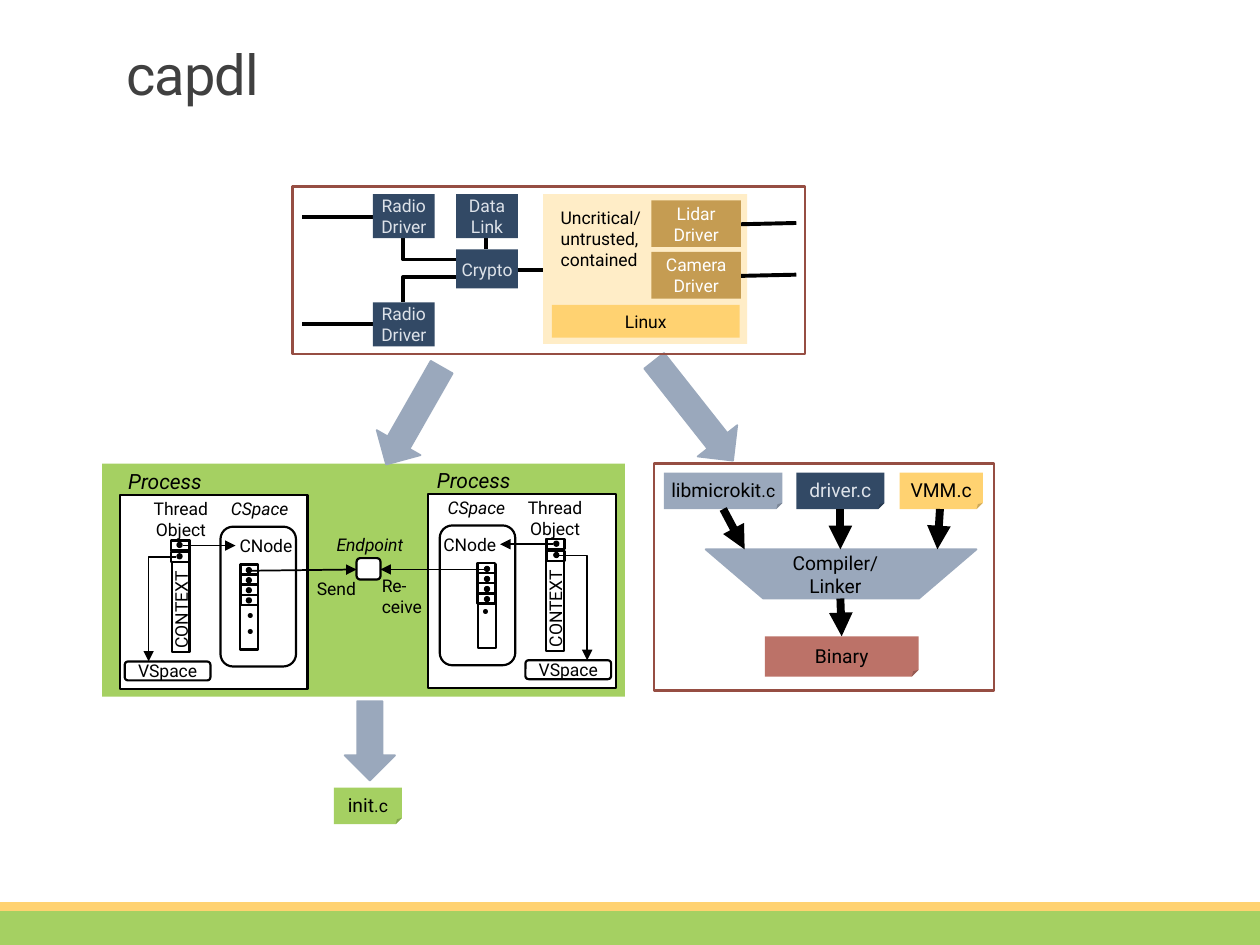
from pptx import Presentation
from pptx import util as u
from pptx.dml.color import RGBColor
from pptx.enum import shapes, text
from pptx.oxml.ns import qn
from lxml import etree

FONT = "Roboto"
BLACK = RGBColor(0x00, 0x00, 0x00)
WHITE = RGBColor(0xFF, 0xFF, 0xFF)
GREY = RGBColor(0x40, 0x40, 0x40)
GREEN = RGBColor(0xA5, 0xD0, 0x62)
GOLD = RGBColor(0xFF, 0xD2, 0x71)
CREAM = RGBColor(0xFF, 0xED, 0xC7)
TAN = RGBColor(0xC5, 0x9C, 0x52)
NAVY = RGBColor(0x32, 0x49, 0x65)
PALE = RGBColor(0xDD, 0xE2, 0xE9)
STEEL = RGBColor(0x9A, 0xA8, 0xBC)
BRICK = RGBColor(0x96, 0x4E, 0x43)
ROSE = RGBColor(0xBC, 0x72, 0x68)

KIND = shapes.MSO_SHAPE
MID = text.MSO_ANCHOR.MIDDLE
TOP = text.MSO_ANCHOR.TOP
LEFT, RIGHT, CENTER = text.PP_ALIGN.LEFT, text.PP_ALIGN.RIGHT, text.PP_ALIGN.CENTER
SNUG = (0.06, 0.04, 0.06, 0.04)
TIGHT = (0.04, 0.02, 0.04, 0.02)
FILE = (0, 0.04, 0, 0)


def style(obj, vals):
    """Set each attribute of obj from a dict."""
    for key, val in vals.items():
        setattr(obj, key, val)


def write(shape, words, size=10, color=BLACK, italic=False, align=CENTER,
          anchor=MID, pad=(0.1, 0.05, 0.1, 0.05), wrap=True, tail=None):
    """Fill a shape with words, and a smaller tail if one is given."""
    frame = shape.text_frame
    sides = ("margin_left", "margin_top", "margin_right", "margin_bottom")
    style(frame, dict(zip(sides, map(u.Inches, pad))))
    style(frame, {"text": words, "vertical_anchor": anchor, "word_wrap": wrap})
    look = {"name": FONT, "size": u.Pt(size), "italic": italic}
    if tail:
        frame.paragraphs[-1].add_run().text = tail
    for para in frame.paragraphs:
        para.alignment = align
        for run in para.runs:
            style(run.font, look)
            run.font.color.rgb = color
    if tail:
        frame.paragraphs[-1].runs[-1].font.size = u.Pt(10)


def place(box, rect):
    """Turn a rect inside a box into slide lengths."""
    x, y, w, h = rect
    return [u.Inches(v) for v in (box[0] + x, box[1] + y, w, h)]


def draw(slide, box, rect, kind=KIND.RECTANGLE, fill=None, line=None,
         width=1.25, turn=0, words=None, **fmt):
    """Add a preset shape at a rect inside a box."""
    shape = slide.shapes.add_shape(kind, *place(box, rect))
    style(shape, {"rotation": turn})
    shape.shadow.inherit = False
    for part, color in ((shape.fill, fill), (shape.line.fill, line)):
        if color is None:
            part.background()
        else:
            part.solid()
            part.fore_color.rgb = color
    if line is not None:
        shape.line.width = u.Pt(width)
    if words:
        write(shape, words, **fmt)
    return shape


def label(slide, box, rect, words, pad=SNUG, **fmt):
    """Add a text box at a rect inside a box."""
    write(slide.shapes.add_textbox(*place(box, rect)), words, pad=pad, **fmt)


def link(slide, box, start, end, width=1, head=False, bent=False):
    """Join two points inside a box; a bent link runs level first."""
    ends = [u.Inches(box[i] + p[i]) for p in (start, end) for i in (0, 1)]
    kinds = shapes.MSO_CONNECTOR
    wire = slide.shapes.add_connector(kinds.ELBOW if bent else kinds.STRAIGHT, *ends)
    style(wire.line, {"width": u.Pt(width)})
    wire.line.color.rgb = BLACK
    props = wire._element.spPr
    if bent:
        props.find(qn("a:prstGeom")).set("prst", "bentConnector2")
    if head:
        etree.SubElement(props.find(qn("a:ln")), qn("a:tailEnd"), type="triangle")
    etree.SubElement(props, qn("a:effectLst"))


def heading(slide, box, words):
    """Place and format the title."""
    title = slide.shapes.title
    style(title, dict(zip(("left", "top", "width", "height"), map(u.Inches, box))))
    write(title, words, size=32, color=GREY, align=LEFT)
    para = title.text_frame.paragraphs[0]
    para.line_spacing = 0.85
    para.runs[0]._r.get_or_add_rPr().set("spc", "-50")


def footer(slide, box):
    """Draw the two bands at the foot of the slide."""
    draw(slide, box, (0, 0.05, box[2], 0.29), fill=GREEN)
    draw(slide, box, (0, 0, box[2], 0.07), fill=GOLD)


def system(slide, box):
    """Draw the component diagram."""
    draw(slide, box, (0, 0, *box[2:]), line=BRICK, width=1.5)
    for start, end, bent in (((1.99, 0.66), (1.78, 0.66), False),
                             ((1.54, 0.41), (1.54, 0.5), False),
                             ((0.64, 0.24), (0.08, 0.24), False),
                             ((0.64, 1.09), (0.08, 1.09), False),
                             ((1.31, 0.72), (0.88, 0.92), True),
                             ((1.31, 0.58), (0.88, 0.41), True)):
        link(slide, box, start, end, 2.25, bent=bent)
    for x, y, h, words in ((1.3, 0.06, 0.35, "Data\nLink"),
                           (0.64, 0.06, 0.35, "Radio\nDriver"),
                           (1.3, 0.5, 0.31, "Crypto"),
                           (0.64, 0.92, 0.35, "Radio\nDriver")):
        draw(slide, box, (x, y, 0.49, h), fill=NAVY, words=words, color=PALE, pad=TIGHT)
    draw(slide, box, (1.99, 0.06, 1.62, 1.19), fill=CREAM,
         words="Uncritical/\nuntrusted,\vcontained", align=LEFT, anchor=TOP,
         pad=(0.14, 0.1, 0.14, 0.09), wrap=False)
    for y, words in ((0.11, "Lidar\nDriver"), (0.52, "Camera\nDriver")):
        link(slide, box, (4, y + 0.18), (3.55, y + 0.19), 2.25)
        draw(slide, box, (2.85, y, 0.71, 0.37), fill=TAN, words=words, color=WHITE)
    draw(slide, box, (2.06, 0.94, 1.49, 0.26), fill=GOLD, words="Linux")


def process(slide, box, flip):
    """Draw one process, mirrored if flip is set."""
    def side(rect):
        """Mirror a rect across the box."""
        x, y, w, h = rect
        return (box[2] - x - w if flip else x, y, w, h)

    def spot(x, y):
        """Mirror a point across the box."""
        return (box[2] - x if flip else x, y)

    frame = {"fill": WHITE, "line": BLACK}
    bar = {**frame, "align": LEFT}
    draw(slide, box, (0, 0, *box[2:]), **frame)
    draw(slide, box, side((0.04, 0.73, 0.89, 0.14)), turn=270, words="CONTEXT",
         pad=(0.03, 0.05, 0.1, 0.05), **bar)
    draw(slide, box, side((0.8, 0.25, 0.6, 1.11)), KIND.ROUNDED_RECTANGLE,
         words="CNode", align=LEFT if flip else RIGHT, anchor=TOP,
         pad=(0, 0.04, 0, 0.05), **frame)
    draw(slide, box, side((0.69, 0.82, 0.67, 0.14)), turn=90 if flip else 270,
         words="∙ ∙ ∙", pad=(0.1, 0.05, 0.1, 0.05), **bar)
    for x, y, step, count in ((0.41, 0.36, 0.09, 2), (0.96, 0.55, 0.08, 4)):
        for i in range(count):
            draw(slide, box, side((x, y + i * step, 0.14, 0.08)), **frame)
    draw(slide, box, side((0.04, 1.32, 0.68, 0.15)), KIND.ROUNDED_RECTANGLE,
         words="VSpace", pad=(0.06, 0.05, 0.06, 0.05), **frame)
    link(slide, box, spot(0.45, 0.49), spot(0.23, 1.32), head=True, bent=True)
    link(slide, box, spot(0.5, 0.4), spot(0.92, 0.4), head=True)
    label(slide, box, side((0.19, 0, 0.59, 0.38)), "Thread\nObject")
    label(slide, box, side((0.8, 0.01, 0.62, 0.19)), "CSpace", italic=True)
    label(slide, box, (-0.01, -0.22, 0.74, 0.22), "Process", size=12, italic=True)
    for x, y, step, count in ((0.45, 0.37, 0.09, 2), (1, 0.57, 0.08, 4)):
        for i in range(count):
            draw(slide, box, side((x, y + i * step, 0.05, 0.05)), KIND.OVAL, fill=BLACK)


def memory(slide, box):
    """Draw the two processes and the endpoint between them."""
    draw(slide, box, (0, 0, *box[2:]), fill=GREEN)
    draw(slide, box, (2.02, 0.75, 0.19, 0.17), KIND.ROUNDED_RECTANGLE,
         fill=WHITE, line=BLACK)
    label(slide, box, (1.78, 0.53, 0.69, 0.22), "Endpoint", italic=True)
    label(slide, box, (1.63, 0.89, 0.46, 0.2), "Send")
    label(slide, box, (2.16, 0.86, 0.45, 0.38), "Re-ceive", align=LEFT)
    for x, y, flip in ((0.14, 0.25, False), (2.59, 0.24, True)):
        process(slide, (box[0] + x, box[1] + y, 1.49, 1.54), flip)
    link(slide, box, (3.03, 0.84), (2.21, 0.84), head=True)
    link(slide, box, (1.16, 0.85), (2.02, 0.84), head=True)


def build(slide, box):
    """Draw the path from source files to the binary."""
    draw(slide, box, (0, 0, *box[2:]), line=BRICK, width=1.5)
    for x, w, words, tail, fill, color in (
            (0.08, 0.94, "libmicrokit", ".c", STEEL, BLACK),
            (1.13, 0.7, "driver.c", None, NAVY, PALE),
            (1.95, 0.66, "VMM.c", None, GOLD, BLACK)):
        draw(slide, box, (x, 0.07, w, 0.29), KIND.FOLDED_CORNER, fill=fill,
             words=words, tail=tail, size=11, color=color, pad=FILE)
    funnel = draw(slide, box, (0.41, 0.68, 2.15, 0.39), KIND.TRAPEZOID,
                  fill=STEEL, line=STEEL, width=1, turn=180)
    funnel.adjustments[0] = 1.17
    label(slide, box, (1.1, 0.69, 0.68, 0.37), "Compiler/\nLinker", size=11,
          pad=(0, 0, 0, 0), wrap=False)
    for start, end in (((0.55, 0.36), (0.72, 0.68)), ((2.27, 0.36), (2.25, 0.68)),
                       ((1.48, 0.36), (1.48, 0.68)), ((1.48, 1.07), (1.49, 1.37))):
        link(slide, box, start, end, 4.5, head=True)
    draw(slide, box, (0.88, 1.37, 1.22, 0.32), KIND.FOLDED_CORNER, fill=ROSE,
         words="Binary", size=11, pad=(0.08, 0.08, 0.08, 0.04))


def flow(slide, box):
    """Draw the block arrows and the file they lead to."""
    for x, y, w, turn in ((2.62, 5.68, 0.63, 90), (5, 3.06, 1.01, 51.7),
                          (2.84, 3.1, 0.89, 119.7)):
        draw(slide, box, (x, y, w, 0.4), KIND.RIGHT_ARROW, fill=STEEL,
             line=STEEL, width=1, turn=turn)
    draw(slide, box, (2.65, 6.25, 0.54, 0.29), KIND.FOLDED_CORNER, fill=GREEN,
         words="init", tail=".c", size=11, pad=FILE)


def main():
    """Build the slide and save it."""
    deck = Presentation()
    style(deck, {"slide_width": u.Inches(10), "slide_height": u.Inches(7.5)})
    slide = deck.slides.add_slide(deck.slide_layouts[5])
    footer(slide, (0, 7.16, 10, 0.34))
    heading(slide, (0.9, 0.35, 6.22, 0.55), "capdl")
    memory(slide, (0.81, 3.68, 4.15, 1.85))
    flow(slide, (0, 0, 10, 7.5))
    system(slide, (2.32, 1.48, 4.07, 1.33))
    build(slide, (5.19, 3.68, 2.7, 1.8))
    deck.save("out.pptx")


if __name__ == "__main__":
    main()
